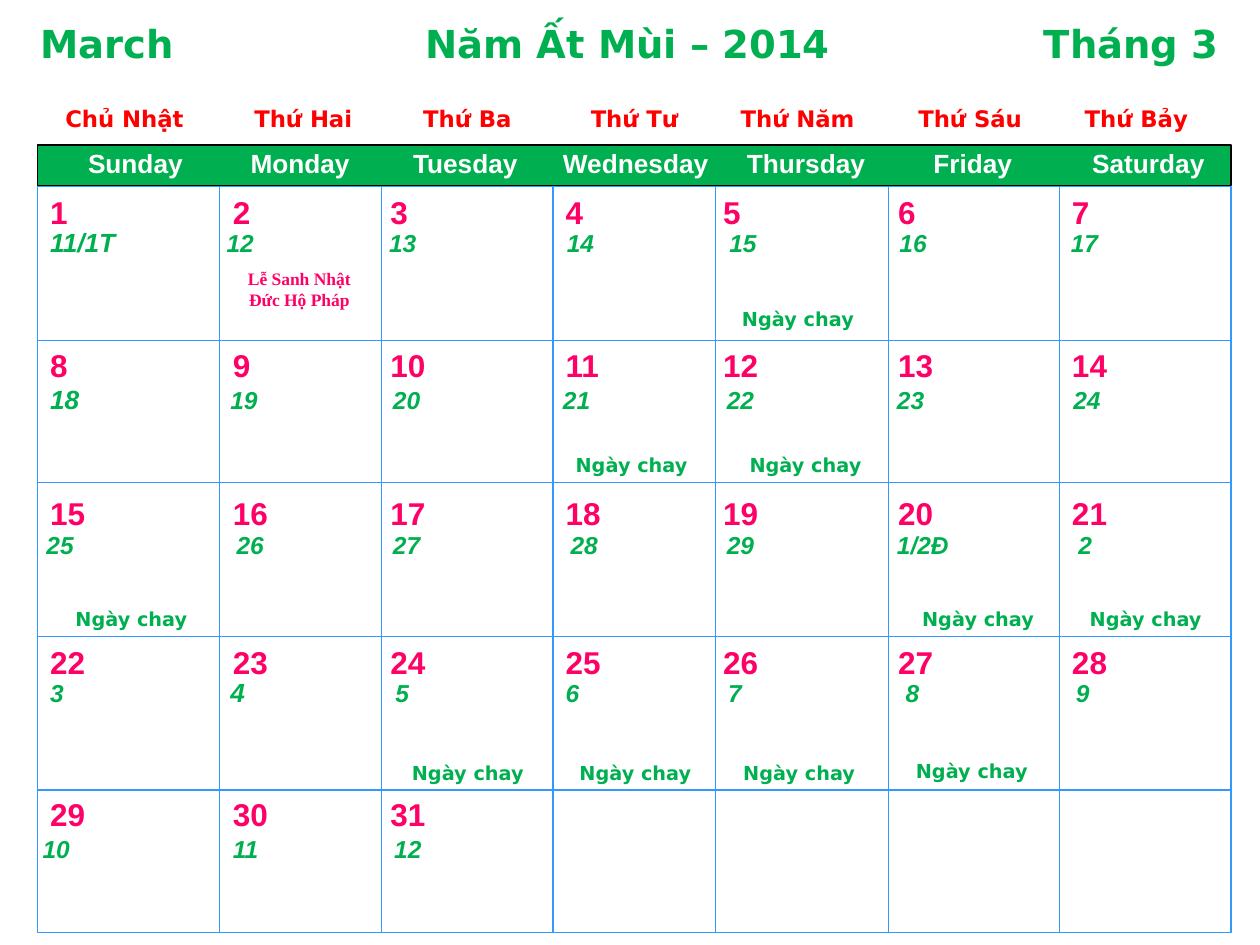
from lxml.etree import SubElement
from pptx import Presentation
from pptx.dml.color import RGBColor
from pptx.enum.shapes import MSO_CONNECTOR, MSO_SHAPE
from pptx.enum.text import MSO_ANCHOR, MSO_AUTO_SIZE, PP_ALIGN
from pptx.oxml.ns import qn
from pptx.util import Inches, Pt

GREEN, PINK, RED, BLUE = "00B050", "FF0066", "FF0000", "3399FF"
LEFT, RIGHT, BOTTOM = 0.3, 9.77, 7.4
ROW_TOPS = [1.48, 2.7, 3.83, 5.05, 6.27]
COLUMN_EDGES = [1.74, 3.03, 4.39, 5.68, 7.05, 8.41]
PADDING = 0.1
DAY_STARTS = [0.4, 1.85, 3.1, 4.49, 5.74, 7.13, 8.51]
DAY_TOPS = [1.48, 2.7, 3.87, 5.05, 6.26]
VIETNAMESE_DAYS = ["Chủ Nhật", "Thứ Hai", "Thứ Ba", "Thứ Tư", "Thứ Năm", "Thứ Sáu", "Thứ Bảy"]
VIETNAMESE_STARTS = [0.52, 2.02, 3.36, 4.69, 5.88, 7.29, 8.61]
ENGLISH_DAYS = [
    ("Sunday", 0.6, 1.02), ("Monday", 1.89, 1.06), ("Tuesday", 3.18, 1.1),
    ("Wednesday", 4.37, 1.43), ("Thursday", 5.83, 1.21), ("Friday", 7.31, 0.9),
    ("Saturday", 8.57, 1.17),
]
LUNAR_ROWS = [
    (1.75, ["11/1T", "12", "13", "14", "15", "16", "17"],
     [0.4, 1.8, 3.09, 4.5, 5.79, 7.14, 8.5]),
    (2.99, ["18", "19", "20", "21", "22", "23", "24"],
     [0.4, 1.83, 3.12, 4.47, 5.77, 7.12, 8.52]),
    (4.16, ["25", "26", "27", "28", "29", "1/2Đ", "2"],
     [0.37, 1.88, 3.12, 4.53, 5.77, 7.12, 8.56]),
    (5.32, ["3", "4", "5", "6", "7", "8", "9"],
     [0.4, 1.83, 3.14, 4.49, 5.78, 7.19, 8.54]),
    (6.57, ["10", "11", "12"], [0.34, 1.85, 3.13]),
]
LARGE_LUNAR_DAYS = {"11/1T", "18", "4"}
FASTING_DAYS = [
    (5.79, 2.39), (4.47, 3.55), (5.85, 3.55), (0.5, 4.77), (7.22, 4.77),
    (8.55, 4.77), (3.17, 5.99), (4.5, 5.99), (5.8, 5.99), (7.17, 5.98),
]


def color(value):
    return RGBColor.from_string(value)


def style_run(run, font, size, hex_color, italic=False):
    run.font.name = font
    run.font.size = Pt(size)
    run.font.bold = True
    run.font.italic = italic
    run.font.color.rgb = color(hex_color)


def set_tabs(paragraph, stops):
    tab_list = SubElement(paragraph._p.get_or_add_pPr(), qn("a:tabLst"))
    for position, alignment in stops:
        SubElement(tab_list, qn("a:tab"), pos=str(Inches(position)), algn=alignment)


def add_text(slide, text, left, top, width, height, font, size, hex_color,
             align=PP_ALIGN.LEFT):
    shape = slide.shapes.add_textbox(Inches(left), Inches(top), Inches(width), Inches(height))
    text_frame = shape.text_frame
    text_frame.word_wrap = True
    text_frame.auto_size = MSO_AUTO_SIZE.SHAPE_TO_FIT_TEXT
    text_frame.text = text
    for paragraph in text_frame.paragraphs:
        paragraph.alignment = align
        for run in paragraph.runs:
            style_run(run, font, size, hex_color)
    return shape


def add_row(slide, items, starts, top, height, font, size, hex_color, italic=False, large=()):
    left = starts[0] - PADDING
    shape = add_text(slide, "", left, top, RIGHT - left, height, font, size, hex_color)
    paragraph = shape.text_frame.paragraphs[0]
    set_tabs(paragraph, [(start - starts[0], "l") for start in starts[1:len(items)]])
    for index, item in enumerate(items):
        run = paragraph.add_run()
        run.text = "\t" + item if index else item
        style_run(run, font, size + (item in large), hex_color, italic)


def add_line(slide, x1, y1, x2, y2):
    line = slide.shapes.add_connector(
        MSO_CONNECTOR.STRAIGHT, Inches(x1), Inches(y1), Inches(x2), Inches(y2))
    line.line.color.rgb = color(BLUE)
    line.line.width = Pt(0.75)
    SubElement(line._element.spPr, qn("a:effectLst"))


def add_rectangle(slide, top, height, line_color, fill_color=None):
    shape = slide.shapes.add_shape(
        MSO_SHAPE.RECTANGLE, Inches(LEFT), Inches(top), Inches(RIGHT - LEFT), Inches(height))
    shape.shadow.inherit = False
    shape.line.color.rgb = color(line_color)
    shape.line.width = Pt(0.75)
    if fill_color:
        shape.fill.solid()
        shape.fill.fore_color.rgb = color(fill_color)
    else:
        shape.fill.background()


def add_grid(slide):
    for top in ROW_TOPS:
        add_line(slide, LEFT, top, RIGHT, top)
    for edge in COLUMN_EDGES:
        add_line(slide, edge, ROW_TOPS[0], edge, BOTTOM)
    add_rectangle(slide, ROW_TOPS[0], BOTTOM - ROW_TOPS[0], BLUE)
    add_rectangle(slide, 1.15, 0.32, "000000", GREEN)


def set_title(slide):
    title = slide.shapes.title
    title.left, title.top = Inches(0.22), Inches(0.11)
    title.width, title.height = Inches(9.66), Inches(0.46)
    text_frame = title.text_frame
    text_frame.vertical_anchor = MSO_ANCHOR.TOP
    text_frame.auto_size = MSO_AUTO_SIZE.SHAPE_TO_FIT_TEXT
    text_frame.text = "March\tNăm Ất Mùi – 2014\tTháng 3"
    paragraph = text_frame.paragraphs[0]
    paragraph.alignment = PP_ALIGN.LEFT
    set_tabs(paragraph, [(4.66, "ctr"), (9.35, "r")])
    for run in paragraph.runs:
        style_run(run, "DejaVu Sans", 22, GREEN)


def main():
    presentation = Presentation()
    presentation.slide_width, presentation.slide_height = Inches(10), Inches(7.5)
    slide = presentation.slides.add_slide(presentation.slide_layouts[5])
    set_title(slide)
    add_grid(slide)
    add_row(slide, VIETNAMESE_DAYS, VIETNAMESE_STARTS, 0.78, 0.31, "DejaVu Sans", 13, RED)
    for name, left, width in ENGLISH_DAYS:
        add_text(slide, name, left, 1.12, width, 0.35, "Arial", 15, "FFFFFF")
    for week, top in enumerate(DAY_TOPS):
        first = 7 * week + 1
        days = [str(day) for day in range(first, min(first + 7, 32))]
        add_row(slide, days, DAY_STARTS, top, 0.41, "Arial", 18, PINK)
    for top, days, starts in LUNAR_ROWS:
        add_row(slide, days, starts, top, 0.35, "Arial", 14, GREEN, True, LARGE_LUNAR_DAYS)
    for left, top in FASTING_DAYS:
        add_text(slide, "Ngày chay", left, top, 1.11, 0.28, "DejaVu Sans", 11, GREEN)
    add_text(slide, "Lễ Sanh Nhật\nĐức Hộ Pháp", 1.5, 2.08, 1.75, 0.43,
             "Times New Roman", 10, PINK, PP_ALIGN.CENTER)
    presentation.save("out.pptx")


if __name__ == "__main__":
    main()
